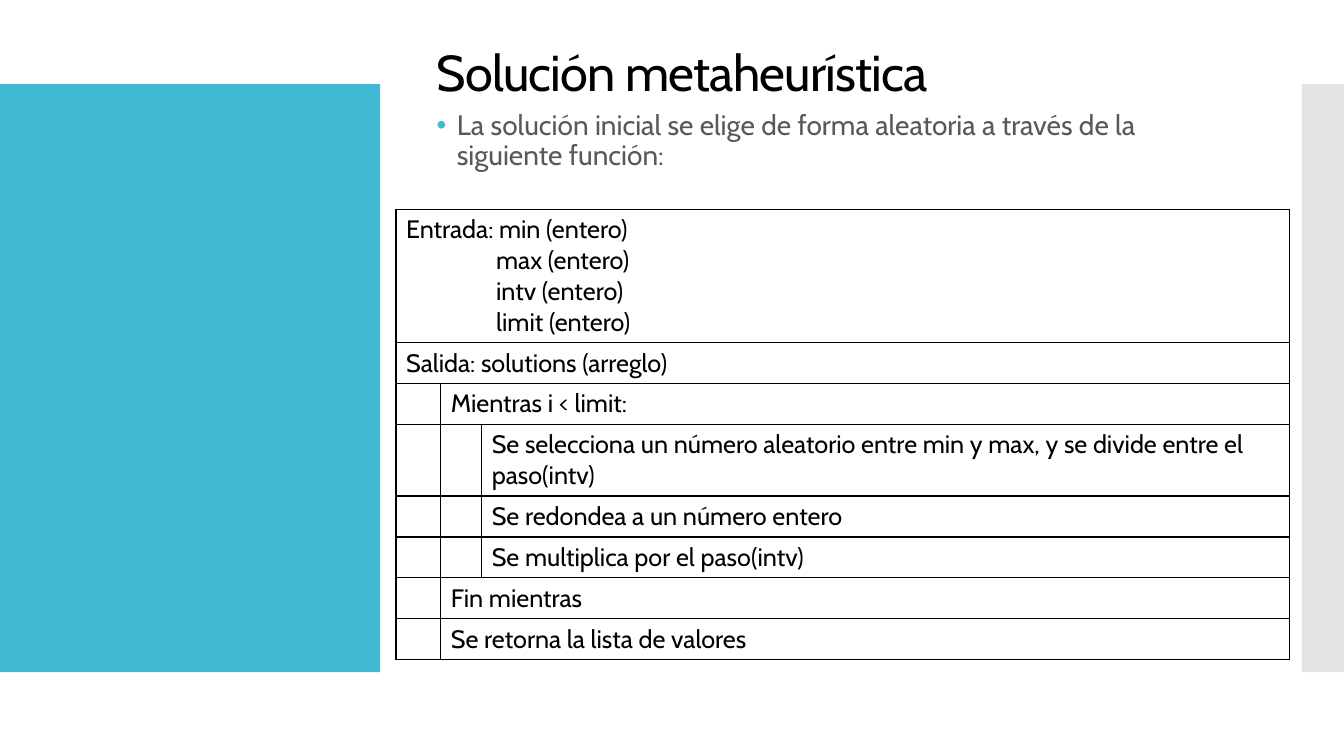
from lxml import etree
from pptx import Presentation
from pptx import util as u
from pptx.dml.color import RGBColor
from pptx.enum import shapes, text
from pptx.oxml import ns

TEAL = RGBColor(0x40, 0xBA, 0xD2)
SILVER = RGBColor(0xC8, 0xC8, 0xC8)
GREY = RGBColor(0x59, 0x59, 0x59)
BLACK = RGBColor(0, 0, 0)

HEAD = {"size": u.Pt(36), "color": BLACK}
BODY = {"size": u.Pt(20), "color": GREY}
CELL = {"size": u.Pt(18), "color": BLACK}

COLS = [1.13, 1.03, 20.36]
STEPS = [
    (0, 3.3, ["Entrada: min (entero)", "max (entero)", "intv (entero)", "limit (entero)"]),
    (0, 1.03, ["Salida: solutions (arreglo)"]),
    (1, 1.03, ["Mientras i < limit:"]),
    (2, 1.79, ["Se selecciona un número aleatorio entre min y max, y se divide entre el paso(intv)"]),
    (2, 1.03, ["Se redondea a un número entero"]),
    (2, 1.03, ["Se multiplica por el paso(intv)"]),
    (1, 1.03, ["Fin mientras"]),
    (1, 1.03, ["Se retorna la lista de valores"]),
]


def node(up, tag, **vals):
    item = etree.SubElement(up, ns.qn(tag))
    for key, val in vals.items():
        item.set(key, str(val))
    return item


class Deck:
    font = "Cabin"

    def __init__(self, wide, high):
        self.prs = Presentation()
        self.prs.slide_width, self.prs.slide_height = u.Cm(wide), u.Cm(high)
        self.slide = self.prs.slides.add_slide(self.prs.slide_layouts[1])

    def label(self, para, words, style):
        run = para.add_run()
        run.text = words
        run.font.name = self.font
        for key, val in style.items():
            if key == "color":
                run.font.color.rgb = val
            else:
                setattr(run.font, key, val)
        return run

    def block(self, box, color, alpha=100):
        rect = self.slide.shapes.add_shape(shapes.MSO_SHAPE.RECTANGLE, *map(u.Cm, box))
        rect.shadow.inherit = False
        rect.fill.solid()
        rect.fill.fore_color.rgb = color
        rect.line.fill.background()
        if alpha < 100:
            node(rect.element.xpath("./p:spPr//a:srgbClr")[0], "a:alpha", val=alpha * 1000)

    def place(self, holder, box, words, style, before=0):
        for key, val in zip(("left", "top", "width", "height"), box):
            setattr(holder, key, u.Cm(val))
        frame = holder.text_frame
        form = {"word_wrap": True, "auto_size": text.MSO_AUTO_SIZE.NONE,
                "vertical_anchor": text.MSO_ANCHOR.MIDDLE}
        for key, val in form.items():
            setattr(frame, key, val)
        para = frame.paragraphs[0]
        form = {"alignment": text.PP_ALIGN.LEFT, "line_spacing": 0.9, "space_before": u.Pt(before)}
        for key, val in form.items():
            setattr(para, key, val)
        return para, self.label(para, words, style)

    def title(self, box, words):
        run = self.place(self.slide.shapes.title, box, words, HEAD)[1]
        run._r.get_or_add_rPr().set("spc", "-60")

    def list(self, box, words):
        para = self.place(self.slide.placeholders[1], box, words, BODY, 12)[0]
        props = para._p.get_or_add_pPr()
        props.set("marL", str(u.Cm(0.51)))
        props.set("indent", str(u.Cm(-0.51)))
        node(node(props, "a:buClr"), "a:srgbClr", val=TEAL)
        node(props, "a:buFont", typeface="Arial")
        node(props, "a:buChar", char="•")

    def frame(self, cell):
        cell.fill.background()
        props = cell._tc.get_or_add_tcPr()
        for spot, side in enumerate("LRTB"):
            line = node(props, "a:ln" + side, w=u.Pt(1))
            node(node(line, "a:solidFill"), "a:srgbClr", val=BLACK)
            props.insert(spot, line)

    def table(self, left, top, cols, steps, inset):
        size = sum(cols), sum(high for _, high, _ in steps)
        grid = self.slide.shapes.add_table(
            len(steps), len(cols), *map(u.Cm, (left, top, *size))).table
        grid.first_row = grid.horz_banding = False
        for col, wide in zip(grid.columns, cols):
            col.width = u.Cm(wide)
        last = len(cols) - 1
        for num, (depth, high, lines) in enumerate(steps):
            grid.rows[num].height = u.Cm(high)
            for col in range(len(cols)):
                self.frame(grid.cell(num, col))
            cell = grid.cell(num, depth)
            if depth < last:
                cell.merge(grid.cell(num, last))
            body = cell.text_frame
            for spot, words in enumerate(lines):
                para = body.add_paragraph() if spot else body.paragraphs[0]
                if spot:
                    para._p.get_or_add_pPr().set("marL", str(u.Cm(inset)))
                self.label(para, words, CELL)


def main():
    deck = Deck(33.87, 19.05)
    deck.block((0, 2.12, 9.58, 14.82), TEAL)
    deck.block((32.81, 2.12, 1.06, 14.82), SILVER, 50)
    deck.list((10.75, 2.39, 19.94, 2.36), "La solución inicial se elige de forma aleatoria a través de la siguiente función:")
    deck.title((10.75, 0.64, 20.32, 2.49), "Solución metaheurística")
    deck.table(9.98, 5.28, COLS, STEPS, 2.27)
    deck.prs.save("out.pptx")


if __name__ == "__main__":
    main()
